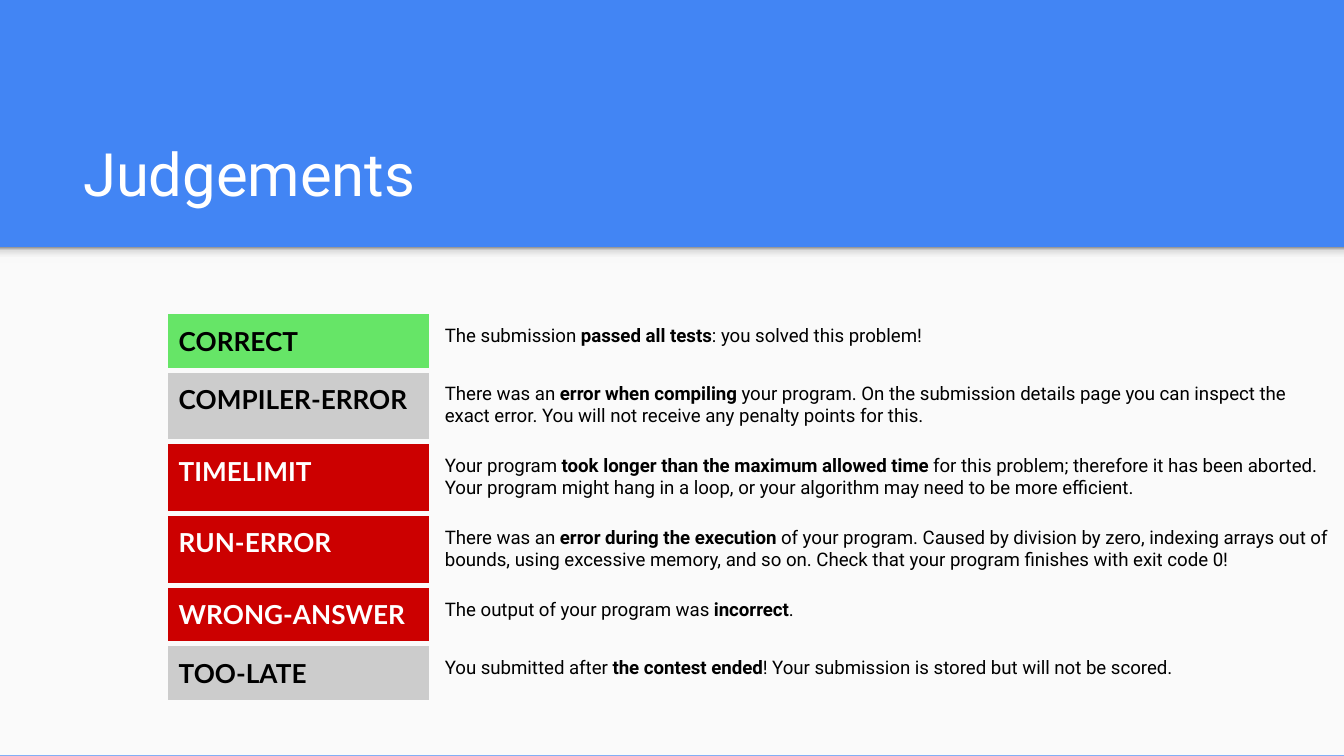
"""Build the slide that explains the contest judgements."""
from lxml.etree import SubElement
from pptx import Presentation
from pptx.dml.color import RGBColor
from pptx.enum.shapes import MSO_SHAPE as Shape
from pptx.enum.text import MSO_ANCHOR as Anchor
from pptx.oxml import parse_xml
from pptx.oxml.ns import nsdecls, qn
from pptx.util import Inches, Pt

BLUE, PAPER, WHITE, BLACK = "4285F4", "FAFAFA", "FFFFFF", "000000"
GREEN, GRAY, RED = "66E567", "CCCCCC", "CC0000"
SHADOW_STOPS = [(0, "F9F9F9"), (36, "F9F9F9"), (80, "DEDEDE"), (100, "999999")]
COLUMN_WIDTHS = [1.98, 6.79]
ROW_HEIGHT = Pt(30)
TABLE_SIZE = Inches(3.28)
JUDGEMENTS = [
    ("CORRECT", GREEN, BLACK,
     ["The submission ", "passed all tests", ": you solved this problem!"]),
    ("COMPILER-ERROR", GRAY, BLACK,
     ["There was an ", "error when compiling",
      " your program. On the submission details page you can inspect the exact error. "
      "You will not receive any penalty points for this."]),
    ("TIMELIMIT", RED, WHITE,
     ["Your program ", "took longer than the maximum allowed time",
      " for this problem; therefore it has been aborted. Your program might hang in a loop, "
      "or your algorithm may need to be more efficient."]),
    ("RUN-ERROR", RED, WHITE,
     ["There was an ", "error during the execution",
      " of your program. Caused by division by zero, indexing arrays out of bounds, "
      "using excessive memory, and so on. Check that your program finishes with exit code 0!"]),
    ("WRONG-ANSWER", RED, WHITE,
     ["The output of your program was ", "incorrect", "."]),
    ("TOO-LATE", GRAY, BLACK,
     ["You submitted after ", "the contest ended",
      "! Your submission is stored but will not be scored."]),
]


def color(value):
    """Turn a hex string into a colour."""
    return RGBColor.from_string(value)


def fill_solid(fill, value):
    """Give a fill one plain colour."""
    fill.solid()
    fill.fore_color.rgb = color(value)


def add_run(paragraph, text, font_name, size, value, bold=False):
    """Append one formatted run to a paragraph."""
    run = paragraph.add_run()
    run.text = text
    run.font.name = font_name
    run.font.size = Pt(size)
    run.font.bold = bold
    run.font.color.rgb = color(value)


def set_margins(holder):
    """Set equal inner margins on a text frame or cell."""
    holder.margin_left = holder.margin_right = Inches(0.1)
    holder.margin_top = holder.margin_bottom = Inches(0.1)


def add_panel(slide, top, height):
    """Add a full-width paper-coloured rectangle without outline."""
    shape = slide.shapes.add_shape(
        Shape.RECTANGLE, 0, Inches(top), Inches(10), Inches(height))
    shape.shadow.inherit = False
    shape.line.fill.background()
    fill_solid(shape.fill, PAPER)
    return shape


def fill_gradient(shape, stops):
    """Fill a shape with a gradient that runs from bottom to top."""
    shape.fill.gradient()
    shape.fill.gradient_angle = 90
    stop_list = shape.fill._xPr.find(".//" + qn("a:gsLst"))
    for stop in list(stop_list):
        stop_list.remove(stop)
    for position, value in stops:
        stop = SubElement(stop_list, qn("a:gs"), pos=str(position * 1000))
        SubElement(stop, qn("a:srgbClr"), val=value)


def add_title(slide, text):
    """Add the slide title, standing on the bottom of its box."""
    box = slide.shapes.add_textbox(Inches(0.52), Inches(0.81), Inches(8.99), Inches(0.84))
    frame = box.text_frame
    frame.word_wrap = True
    frame.vertical_anchor = Anchor.BOTTOM
    set_margins(frame)
    add_run(frame.paragraphs[0], text, "Roboto", 32, WHITE)


def set_borders(cell, value, width):
    """Draw all four borders of a cell."""
    properties = cell._tc.get_or_add_tcPr()
    for index, side in enumerate(["lnL", "lnR", "lnT", "lnB"]):
        properties.insert(index, parse_xml(
            f'<a:{side} {nsdecls("a")} w="{Pt(width)}"><a:solidFill>'
            f'<a:srgbClr val="{value}"/></a:solidFill></a:{side}>'))


def add_judgement_table(slide):
    """Add the table of verdicts and their explanations."""
    table_frame = slide.shapes.add_table(
        len(JUDGEMENTS), len(COLUMN_WIDTHS),
        Inches(1.23), Inches(2.32), TABLE_SIZE, TABLE_SIZE)
    table = table_frame.table
    table.first_row = table.horz_banding = False
    for column, width in zip(table.columns, COLUMN_WIDTHS):
        column.width = Inches(width)
    for row, (verdict, background, text_color, parts) in zip(table.rows, JUDGEMENTS):
        row.height = ROW_HEIGHT
        verdict_cell, meaning_cell = row.cells
        fill_solid(verdict_cell.fill, background)
        meaning_cell.fill.background()
        for cell in row.cells:
            set_margins(cell)
            set_borders(cell, PAPER, 3)
        add_run(verdict_cell.text_frame.paragraphs[0], verdict, "Lato", 14, text_color, True)
        for index, part in enumerate(parts):
            add_run(meaning_cell.text_frame.paragraphs[0], part, "Roboto", 10, BLACK, index == 1)
    table_frame.width = table_frame.height = TABLE_SIZE


def main():
    """Build and save the presentation."""
    presentation = Presentation()
    presentation.slide_width = Inches(10)
    presentation.slide_height = presentation.slide_width * 9 // 16
    slide = presentation.slides.add_slide(presentation.slide_layouts[6])
    fill_solid(slide.background.fill, BLUE)
    add_panel(slide, 1.84, 3.78)
    fill_gradient(add_panel(slide, 1.84, 0.12), SHADOW_STOPS)
    add_title(slide, "Judgements")
    add_judgement_table(slide)
    presentation.save("out.pptx")


if __name__ == "__main__":
    main()
